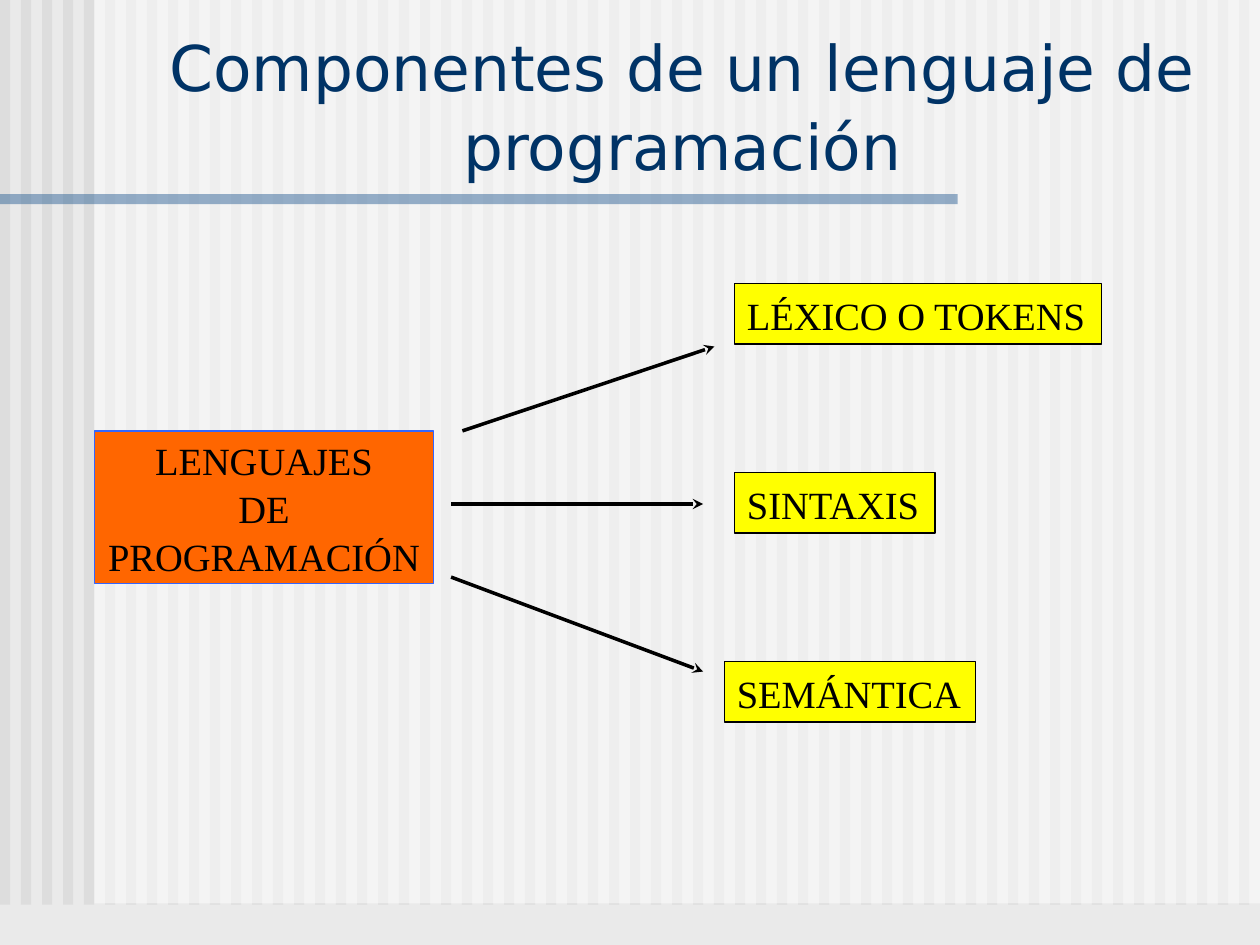
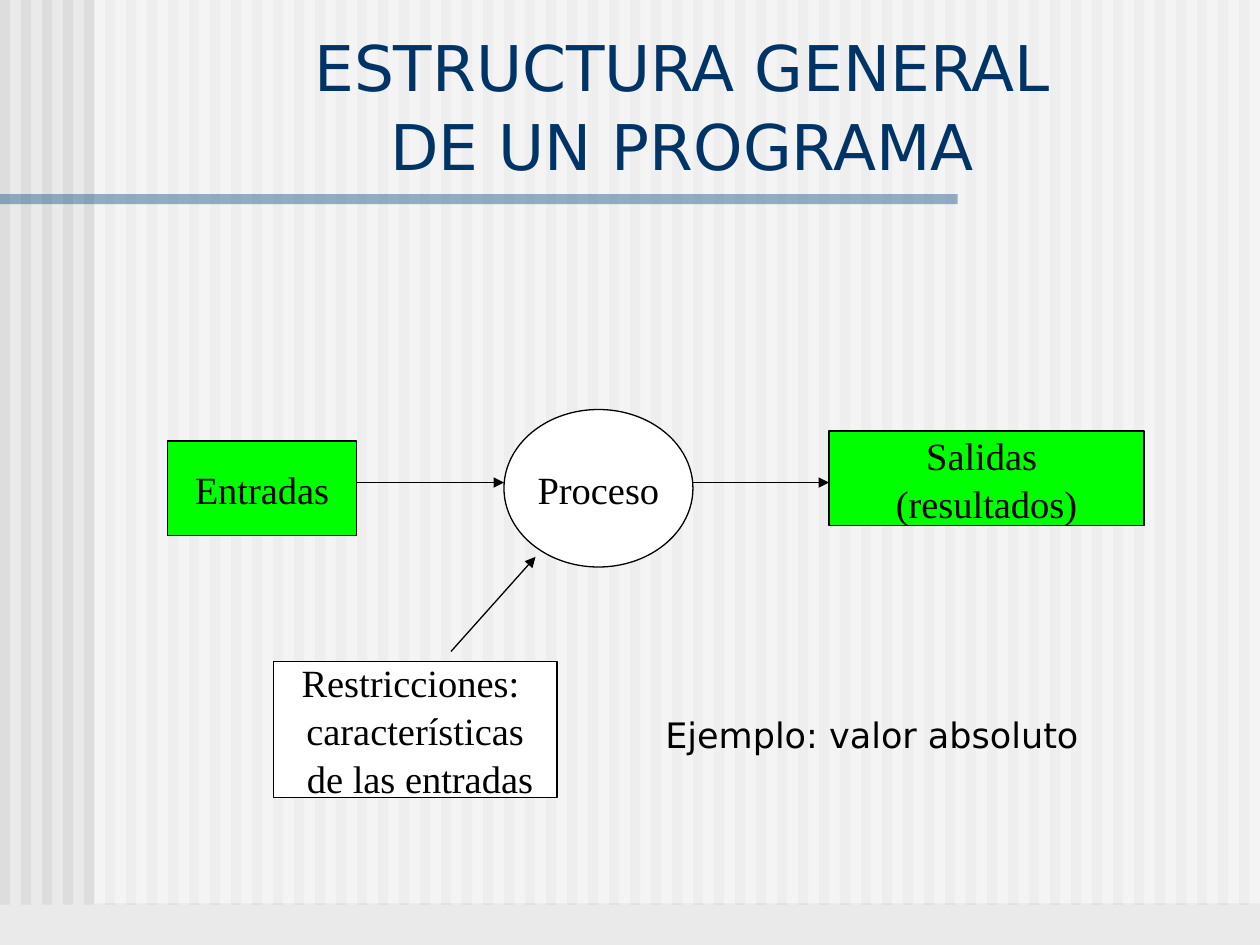
from dataclasses import dataclass
from lxml import etree
from pptx import Presentation
from pptx.dml.color import RGBColor as RGB
from pptx.enum.shapes import MSO_CONNECTOR as LINK, MSO_SHAPE as GEOM
from pptx.enum.text import MSO_ANCHOR as ANCHOR, MSO_AUTO_SIZE as FIT, PP_ALIGN as ALIGN
from pptx.oxml.ns import qn
from pptx.util import Inches, Pt


@dataclass(frozen=True)
class Theme:
    back: str = "EAEAEA"
    stripe: str = "DDDDDD"
    white: str = "FFFFFF"
    rule: str = "336699"
    title: str = "003366"
    ink: str = "000000"
    orange: str = "FF6600"
    blue: str = "3366FF"
    yellow: str = "FFFF00"
    green: str = "00FF00"
    sans: str = "DejaVu Sans"
    serif: str = "Times New Roman"
    head: int = 36
    label: int = 22
    note: int = 20
    lead: float = 1.04
    thin: float = 0.75
    thick: float = 2


T = Theme()


def write(para, text, font, size, color, align):
    para.alignment = align
    for i, part in enumerate(text.split("\n")):
        if i:
            para.add_line_break()
        run = para.add_run()
        run.text = part
        run.font.name, run.font.size = font, Pt(size)
        run.font.color.rgb = RGB.from_string(color)


def block(slide, geom, at, fill, line=None, lines=(), align=ALIGN.CENTER):
    box = slide.shapes.add_shape(geom, *map(Inches, at))
    box.shadow.inherit = False
    box.fill.solid()
    box.fill.fore_color.rgb = RGB.from_string(fill)
    if line:
        box.line.color.rgb = RGB.from_string(line)
        box.line.width = Pt(T.thin)
    else:
        box.line.fill.background()
    frame = box.text_frame
    frame.word_wrap = False
    frame.vertical_anchor = ANCHOR.MIDDLE
    for i, text in enumerate(lines):
        para = frame.add_paragraph() if i else frame.paragraphs[0]
        para.line_spacing = T.lead
        write(para, text, T.serif, T.label, T.ink, align)
    return box


prs = Presentation()
prs.slide_width, prs.slide_height = Inches(10), Inches(7.5)
master = prs.slide_master
parts = prs.slides.add_slide(prs.slide_layouts[5])
flow = prs.slides.add_slide(prs.slide_layouts[1])

# Shared background: stripes, pale panel and title rule, kept on the master
master.background.fill.solid()
master.background.fill.fore_color.rgb = RGB.from_string(T.back)
bands = [block(parts, GEOM.RECTANGLE, (i / 6, -0.32, 0.08, 7.5), T.stripe)
         for i in range(60)]
for at, fill in (((0.75, -0.33, 9.26, 7.5), T.white), ((0, 1.54, 7.6, 0.08), T.rule)):
    band = block(parts, GEOM.RECTANGLE, at, fill)
    tint = band.element.spPr.find(qn("a:solidFill"))[0]
    etree.SubElement(tint, qn("a:alpha")).set("val", "50000")
    bands.append(band)
for i, band in enumerate(bands):
    band.element.nvSpPr.cNvPr.set("id", str(100 + i))
    master.shapes.element.insert(2 + i, band.element)

# Titles
for slide, text in ((parts, "Componentes de un lenguaje de programación"),
                    (flow, "ESTRUCTURA GENERAL\nDE UN PROGRAMA")):
    head = slide.shapes.title
    head.left, head.top, head.width, head.height = map(Inches, (0.95, 0.19, 8.93, 1.31))
    frame = head.text_frame
    frame.word_wrap, frame.auto_size = True, FIT.NONE
    frame.vertical_anchor = ANCHOR.BOTTOM
    frame.paragraphs[0].line_spacing = T.lead
    write(frame.paragraphs[0], text, T.sans, T.head, T.title, ALIGN.CENTER)

# Language and its three components
block(parts, GEOM.RECTANGLE, (0.75, 3.42, 2.69, 1.21), T.orange, T.blue,
      ("LENGUAJES", "DE", "PROGRAMACIÓN"))
for text, left, top, width in (("LÉXICO O TOKENS", 5.83, 2.25, 2.91),
                               ("SINTAXIS", 5.83, 3.75, 1.59),
                               ("SEMÁNTICA", 5.75, 5.25, 1.99)):
    block(parts, GEOM.RECTANGLE, (left, top, width, 0.48), T.yellow, T.ink,
          (text,), ALIGN.LEFT)

# Example note in the body placeholder
body = flow.placeholders[1]
body.left, body.top, body.width, body.height = map(Inches, (0.92, 1.67, 8.87, 4.92))
frame = body.text_frame
frame.auto_size, frame.vertical_anchor = FIT.NONE, ANCHOR.BOTTOM
frame.margin_bottom = Inches(0.59)
note = frame.paragraphs[0]
write(note, "Ejemplo: valor absoluto", T.sans, T.note, T.ink, ALIGN.LEFT)
props = note._p.get_or_add_pPr()
props.set("marL", str(Inches(4.26)))
props.set("indent", "0")
etree.SubElement(props, qn("a:buNone"))

# Inputs, process, outputs and restrictions
for geom, at, fill, lines in (
    (GEOM.OVAL, (4, 3.25, 1.5, 1.25), T.white, ("Proceso",)),
    (GEOM.RECTANGLE, (1.33, 3.5, 1.5, 0.75), T.green, ("Entradas",)),
    (GEOM.RECTANGLE, (6.58, 3.42, 2.5, 0.75), T.green, ("Salidas ", "(resultados)")),
    (GEOM.RECTANGLE, (2.17, 5.25, 2.25, 1.08), T.white,
     ("Restricciones: ", "características", " de las entradas")),
):
    block(flow, geom, at, fill, T.ink, lines)

# Arrows of both diagrams
for slide, width, tip, ends in (
    (parts, T.thick, "stealth", ((3.67, 3.42, 5.67, 2.75), (3.58, 4, 5.58, 4),
                                 (3.58, 4.58, 5.58, 5.33))),
    (flow, T.thin, "triangle", ((2.83, 3.83, 4, 3.83), (5.5, 3.83, 6.58, 3.83),
                                (3.58, 5.17, 4.25, 4.42))),
):
    for end in ends:
        arrow = slide.shapes.add_connector(LINK.STRAIGHT, *map(Inches, end))
        arrow.line.color.rgb = RGB.from_string(T.ink)
        arrow.line.width = Pt(width)
        etree.SubElement(arrow.line._get_or_add_ln(), qn("a:tailEnd")).set("type", tip)
        etree.SubElement(arrow.element.spPr, qn("a:effectLst"))

prs.save("out.pptx")
